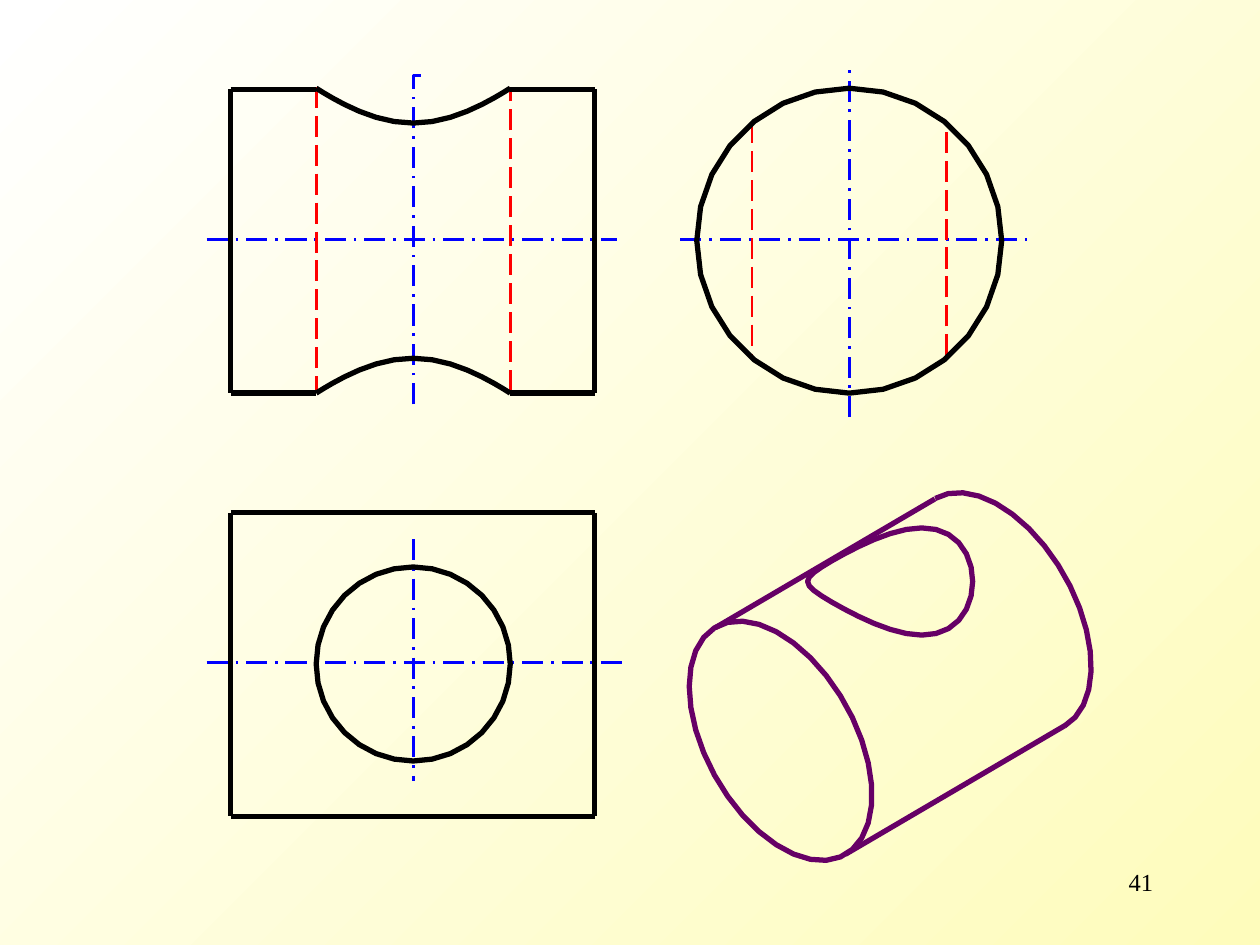
from dataclasses import dataclass
from math import cos, pi, radians, sin, sqrt

from lxml import etree
from pptx import Presentation
from pptx.dml.color import RGBColor
from pptx.enum import dml, shapes, text
from pptx.oxml.ns import qn
from pptx.util import Inches, Pt

Point = tuple[float, float]


@dataclass(frozen=True)
class Pen:
    color: str
    width: float
    dash: dml.MSO_LINE | None = None


AXIS = Pen("0000FF", 1.5, dml.MSO_LINE.LONG_DASH_DOT)
HIDDEN = Pen("FF0000", 1.5, dml.MSO_LINE.LONG_DASH)
OUTLINE = Pen("000000", 3)
SOLID = Pen("660066", 3)

# Cylinder drawn in three views, with a vertical hole through it
LEFT, RIGHT, MID_X = 1.83, 4.72, 3.28
TOP, BOTTOM = 0.71, 3.12
PLAN_TOP, PLAN_BOTTOM = 4.07, 6.48
FRONT_Y, PLAN_Y, SIDE_X = 1.91, 5.27, 6.74
RADIUS, HOLE = 1.21, 0.77
HOLE_LEFT, HOLE_RIGHT = MID_X - HOLE, MID_X + HOLE


def rgb(color: str) -> RGBColor:
    return RGBColor.from_string(color)


def apply_pen(line, pen: Pen) -> None:
    line.color.rgb = rgb(pen.color)
    line.width = Pt(pen.width)
    if pen.dash:
        line.dash_style = pen.dash


def draw_line(slide, pen: Pen, start: Point, end: Point) -> None:
    line = slide.shapes.add_connector(
        shapes.MSO_CONNECTOR.STRAIGHT, *(Inches(v) for v in start + end))
    apply_pen(line.line, pen)
    etree.SubElement(line._element.spPr, qn("a:effectLst"))


def draw_curve(slide, pen: Pen, points: list[Point], close: bool = False) -> None:
    (x, y), *rest = [(Inches(x), Inches(y)) for x, y in points]
    builder = slide.shapes.build_freeform(x, y)
    builder.add_line_segments(rest, close=close)
    curve = builder.convert_to_shape()
    curve.fill.background()
    curve.shadow.inherit = False
    apply_pen(curve.line, pen)


def angles(steps: int, start: float = 0, sweep: float = 2 * pi) -> list[float]:
    return [start + sweep * i / steps for i in range(steps + 1)]


def circle(x: float, y: float, radius: float, steps: int) -> list[Point]:
    return [(x + radius * cos(t), y + radius * sin(t)) for t in angles(steps)[:-1]]


def saddle(side: int) -> list[Point]:
    """Intersection of hole and cylinder in the front view; side is -1 for the top."""
    return [(MID_X + HOLE * cos(t),
             FRONT_Y + side * sqrt(RADIUS ** 2 - (HOLE * sin(t)) ** 2))
            for t in angles(16, 0, pi)]


def end_face(x: float, y: float, turns: list[float]) -> list[Point]:
    """Tilted ellipse of a cylinder end in the pictorial view."""
    return [(x - 0.725 * cos(t), y + 0.95 * cos(t - radians(117))) for t in turns]


def hole_mouth() -> list[Point]:
    return [(7.065 + 0.655 * cos(t), 4.615 + 0.38 * sin(t) + 0.105 * sin(2 * t))
            for t in angles(32)[:-1]]


def draw_axes(slide) -> None:
    draw_line(slide, AXIS, (1.64, 1.9), (4.9, 1.9))
    draw_line(slide, AXIS, (1.64, 5.26), (4.97, 5.26))
    draw_line(slide, AXIS, (MID_X, 4.28), (MID_X, 6.2))
    draw_curve(slide, AXIS, [(MID_X, 3.21), (MID_X, 0.6), (3.34, 0.6)])
    draw_line(slide, AXIS, (5.4, 1.9), (8.15, 1.9))
    draw_line(slide, AXIS, (SIDE_X, 3.31), (SIDE_X, 0.52))


def draw_hidden_edges(slide) -> None:
    for center, top, bottom in ((MID_X, 0.69, 3.1), (SIDE_X, 0.97, 2.82)):
        draw_line(slide, HIDDEN, (center + HOLE, bottom), (center + HOLE, top))
        draw_line(slide, HIDDEN, (center - HOLE, top), (center - HOLE, bottom))


def draw_views(slide) -> None:
    for top, bottom in ((TOP, BOTTOM), (PLAN_TOP, PLAN_BOTTOM)):
        for x in (LEFT, RIGHT):
            draw_line(slide, OUTLINE, (x, top), (x, bottom))
    for y, side in ((TOP, -1), (BOTTOM, 1)):
        draw_curve(slide, OUTLINE, saddle(side))
        draw_line(slide, OUTLINE, (LEFT, y), (HOLE_LEFT, y))
        draw_line(slide, OUTLINE, (HOLE_RIGHT, y), (RIGHT, y))
    for y in (PLAN_TOP, PLAN_BOTTOM):
        draw_line(slide, OUTLINE, (LEFT, y), (RIGHT, y))
    draw_curve(slide, OUTLINE, circle(MID_X, PLAN_Y, HOLE, 32), close=True)
    draw_curve(slide, OUTLINE, circle(SIDE_X, FRONT_Y, RADIUS, 28), close=True)


def draw_pictorial(slide) -> None:
    back_arc = angles(17, radians(135), pi)
    draw_curve(slide, SOLID, end_face(7.935, 4.86, back_arc))
    draw_curve(slide, SOLID, end_face(6.195, 5.88, angles(33)[:-1]), close=True)
    draw_curve(slide, SOLID, hole_mouth(), close=True)
    draw_line(slide, SOLID, (6.71, 6.78), (8.45, 5.76))
    draw_line(slide, SOLID, (7.42, 3.96), (5.68, 4.98))


def draw_page_number(slide, number: str) -> None:
    page = slide.shapes.add_textbox(
        Inches(7.17), Inches(6.83), Inches(2.08), Inches(0.5)).text_frame
    page.word_wrap = True
    page.text = number
    paragraph = page.paragraphs[0]
    paragraph.alignment = text.PP_ALIGN.RIGHT
    font = paragraph.runs[0].font
    font.name, font.size = "Times New Roman", Pt(14)
    font.color.rgb = rgb("000000")


def paint_background(slide) -> None:
    fill = slide.background.fill
    fill.gradient()
    fill.gradient_angle = 135
    for stop, color in zip(fill.gradient_stops, ("FEFCBC", "FFFFFF")):
        stop.color.rgb = rgb(color)


def main() -> None:
    deck = Presentation()
    deck.slide_width, deck.slide_height = Inches(10), Inches(7.5)
    slide = deck.slides.add_slide(deck.slide_layouts[6])
    paint_background(slide)
    draw_axes(slide)
    draw_hidden_edges(slide)
    draw_views(slide)
    draw_pictorial(slide)
    draw_page_number(slide, "41")
    deck.save("out.pptx")


if __name__ == "__main__":
    main()
